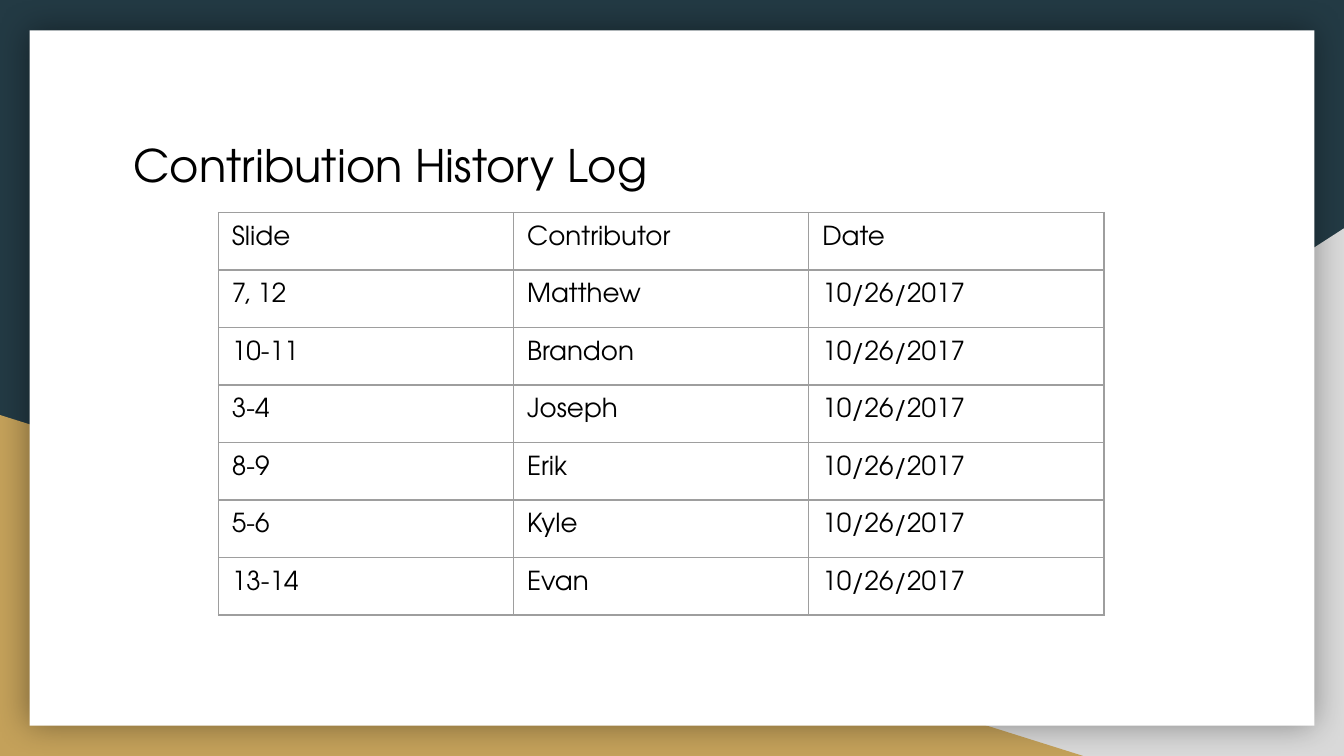
import lxml.etree
import pptx
import pptx.dml.color
import pptx.enum.shapes
import pptx.enum.text
import pptx.oxml
import pptx.oxml.ns
import pptx.util
from collections import namedtuple

Box = namedtuple("Box", "left top width height")

NAVY = pptx.dml.color.RGBColor(0x23, 0x3A, 0x44)
SILVER = pptx.dml.color.RGBColor(0xD9, 0xD9, 0xD9)
GOLD = pptx.dml.color.RGBColor(0xC4, 0xA1, 0x5A)
WHITE = pptx.dml.color.RGBColor(0xFF, 0xFF, 0xFF)
BLACK = pptx.dml.color.RGBColor(0, 0, 0)
GRAY = pptx.dml.color.RGBColor(0x9E, 0x9E, 0x9E)

FONT = "TeX Gyre Adventor"
INSET = pptx.util.Inches(0.1)
CELL_BOTTOM = pptx.util.Inches(0.09)
DATE = "10/26/2017"
HEADINGS = ("Slide", "Contributor", "Date")
CONTRIBUTIONS = (
    ("7, 12", "Matthew"),
    ("10-11", "Brandon"),
    ("3-4", "Joseph"),
    ("8-9", "Erik"),
    ("5-6", "Kyle"),
    ("13-14", "Evan"),
)


def share(box, left, top, width, height):
    return Box(
        round(box.left + box.width * left / 100),
        round(box.top + box.height * top / 100),
        round(box.width * width / 100),
        round(box.height * height / 100),
    )


def write_text(frame, text, *, size, color=BLACK, font=FONT):
    frame.word_wrap = True
    para = frame.paragraphs[0]
    para.alignment = pptx.enum.text.PP_ALIGN.LEFT
    span = para.add_run()
    span.text = text
    span.font.name = font
    span.font.size = pptx.util.Pt(size)
    span.font.color.rgb = color


def add_block(page, kind, box, color):
    block = page.shapes.add_shape(kind, *box)
    block.fill.solid()
    block.fill.fore_color.rgb = color
    block.line.fill.background()
    block.shadow.inherit = False
    return block


def add_glow(shape, *, blur, opacity):
    effects = shape.element.spPr.find(pptx.oxml.ns.qn("a:effectLst"))
    effects.append(pptx.oxml.parse_xml(
        f'<a:outerShdw {pptx.oxml.ns.nsdecls("a")} blurRad="{pptx.util.Pt(blur)}" '
        f'dist="0" dir="0" algn="ctr" rotWithShape="0"><a:srgbClr val="{BLACK}">'
        f'<a:alpha val="{opacity * 1000}"/></a:srgbClr></a:outerShdw>'))


def add_backdrop(page, box):
    page.background.fill.solid()
    page.background.fill.fore_color.rgb = NAVY
    kinds = pptx.enum.shapes.MSO_SHAPE
    corner = add_block(page, kinds.RIGHT_TRIANGLE, share(box, 39.2, 30.2, 60.8, 69.8), SILVER)
    corner.element.spPr.find(pptx.oxml.ns.qn("a:xfrm")).set("flipH", "1")
    add_block(page, kinds.RIGHT_TRIANGLE, share(box, 0, 54.9, 80.6, 45.1), GOLD)
    card = add_block(page, kinds.RECTANGLE, share(box, 2.2, 4, 95.6, 92), WHITE)
    add_glow(card, blur=18, opacity=40)


def add_title(page, box):
    frame = page.shapes.add_textbox(*box).text_frame
    frame.margin_left = frame.margin_right = INSET
    frame.margin_top = frame.margin_bottom = INSET
    frame.vertical_anchor = pptx.enum.text.MSO_ANCHOR.TOP
    write_text(frame, "Contribution History Log", size=24)


def add_borders(cell, *, color, width):
    properties = cell._tc.get_or_add_tcPr()
    for side in "LRTB":
        properties.append(pptx.oxml.parse_xml(
            f'<a:ln{side} {pptx.oxml.ns.nsdecls("a")} w="{pptx.util.Pt(width)}">'
            f'<a:solidFill><a:srgbClr val="{color}"/></a:solidFill></a:ln{side}>'))


def add_log(page, box):
    records = [HEADINGS] + [(*entry, DATE) for entry in CONTRIBUTIONS]
    table = page.shapes.add_table(len(records), len(HEADINGS), *box).table
    table.first_row = table.horz_banding = False
    for row, record in zip(table.rows, records):
        row.height = box.height // len(records)
        for cell, text in zip(row.cells, record):
            cell.margin_left = cell.margin_right = cell.margin_top = INSET
            cell.margin_bottom = CELL_BOTTOM
            cell.vertical_anchor = pptx.enum.text.MSO_ANCHOR.TOP
            add_borders(cell, color=GRAY, width=0.75)
            cell.fill.background()
            write_text(cell.text_frame, text, size=14)


def main():
    deck = pptx.Presentation()
    deck.slide_width = pptx.util.Inches(10)
    deck.slide_height = deck.slide_width * 9 // 16
    page = deck.slides.add_slide(deck.slide_layouts[6])
    whole = Box(0, 0, deck.slide_width, deck.slide_height)
    add_backdrop(page, whole)
    add_title(page, share(whole, 8.95, 16.4, 82.1, 18.5))
    add_log(page, share(whole, 16.25, 28.1, 65.9, 53.3))
    deck.save("out.pptx")


if __name__ == "__main__":
    main()
